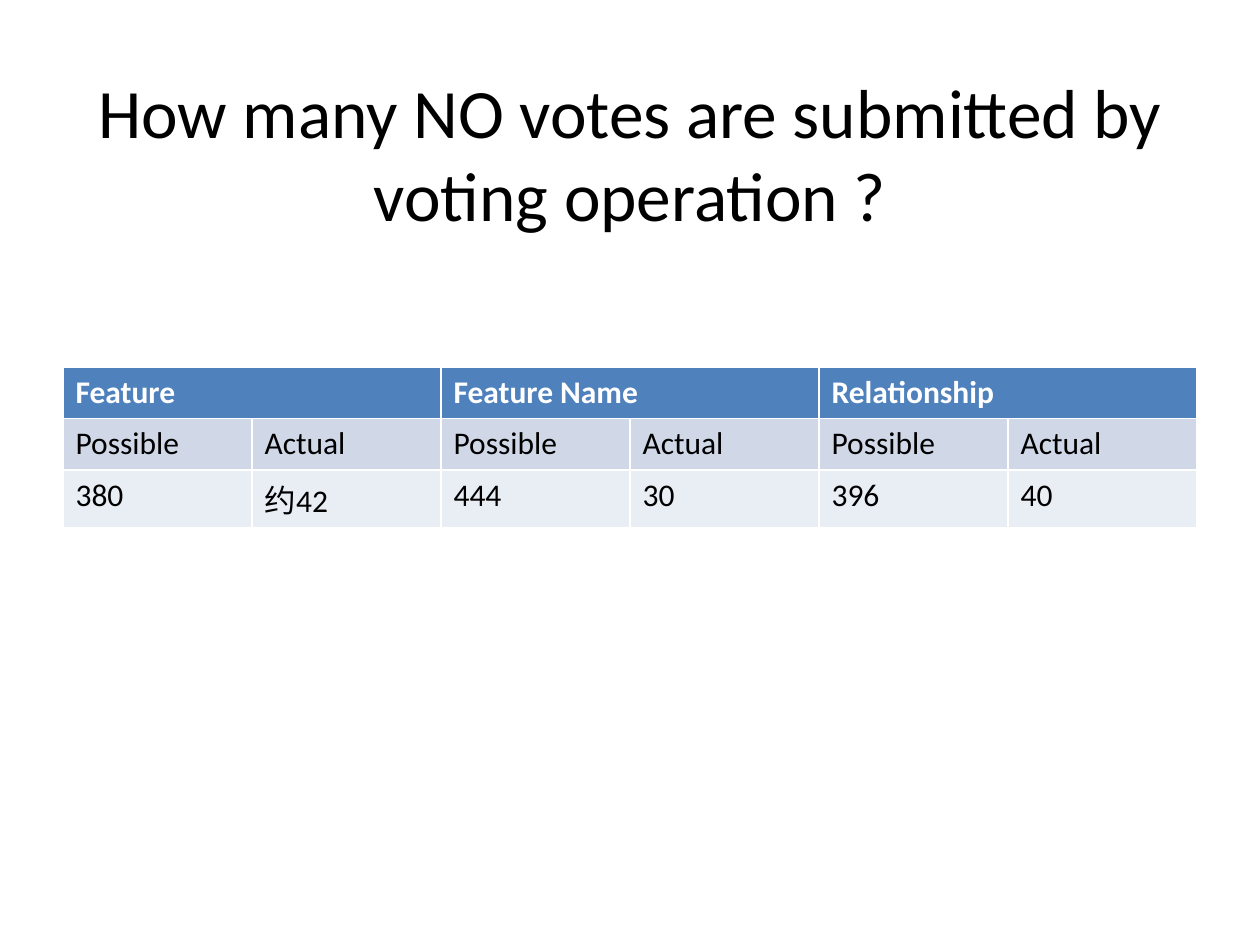
"""Build a slide that compares possible and actual NO votes per voting operation."""
from dataclasses import dataclass

from pptx import Presentation
from pptx.dml.color import RGBColor
from pptx.enum.text import MSO_ANCHOR, PP_ALIGN
from pptx.util import Cm, Pt

FONT = "Calibri"
BLACK, WHITE = "000000", "FFFFFF"
LEFT, WIDTH = 1.27, 22.86
ROW_HEIGHT = 1.03


@dataclass(frozen=True)
class Operation:
    name: str
    possible: str
    actual: str


@dataclass(frozen=True)
class RowStyle:
    fill: str
    text: str = BLACK
    bold: bool = False


OPERATIONS = [
    Operation("Feature", "380", "约42"),
    Operation("Feature Name", "444", "30"),
    Operation("Relationship", "396", "40"),
]
ROW_STYLES = [RowStyle("4F81BD", WHITE, True), RowStyle("D0D8E8"), RowStyle("E9EDF4")]


def color(value: str) -> RGBColor:
    return RGBColor.from_string(value)


def format_text(frame, size: float, text_color: str, bold: bool = False) -> None:
    for para in frame.paragraphs:
        for span in para.runs:
            span.font.name = FONT
            span.font.size = Pt(size)
            span.font.bold = bold
            span.font.color.rgb = color(text_color)


def add_title(page, text: str) -> None:
    box = page.shapes.title
    box.left, box.top, box.width, box.height = Cm(LEFT), Cm(1.48), Cm(WIDTH), Cm(3.18)
    frame = box.text_frame
    frame.text = text
    frame.vertical_anchor = MSO_ANCHOR.MIDDLE
    frame.paragraphs[0].alignment = PP_ALIGN.CENTER
    format_text(frame, 39.6, text_color=BLACK)


def add_vote_table(page, operations: list[Operation]) -> None:
    row_count, column_count = len(ROW_STYLES), 2 * len(operations)
    table = page.shapes.add_table(
        row_count, column_count, Cm(LEFT), Cm(7.41), Cm(WIDTH), Cm(row_count * ROW_HEIGHT)
    ).table
    for index, operation in enumerate(operations):
        first, second = 2 * index, 2 * index + 1
        table.cell(0, first).merge(table.cell(0, second))
        table.cell(0, first).text = operation.name
        for column, label, value in (
            (first, "Possible", operation.possible),
            (second, "Actual", operation.actual),
        ):
            table.cell(1, column).text = label
            table.cell(2, column).text = value
    for row, style in zip(table.rows, ROW_STYLES):
        for cell in row.cells:
            cell.fill.solid()
            cell.fill.fore_color.rgb = color(style.fill)
            format_text(cell.text_frame, 18, style.text, style.bold)


def main() -> None:
    deck = Presentation()
    deck.slide_width, deck.slide_height = Cm(25.4), Cm(19.05)
    page = deck.slides.add_slide(deck.slide_layouts.get_by_name("Title Only"))
    add_title(page, "How many NO votes are submitted by voting operation ?")
    add_vote_table(page, OPERATIONS)
    deck.save("out.pptx")


if __name__ == "__main__":
    main()
